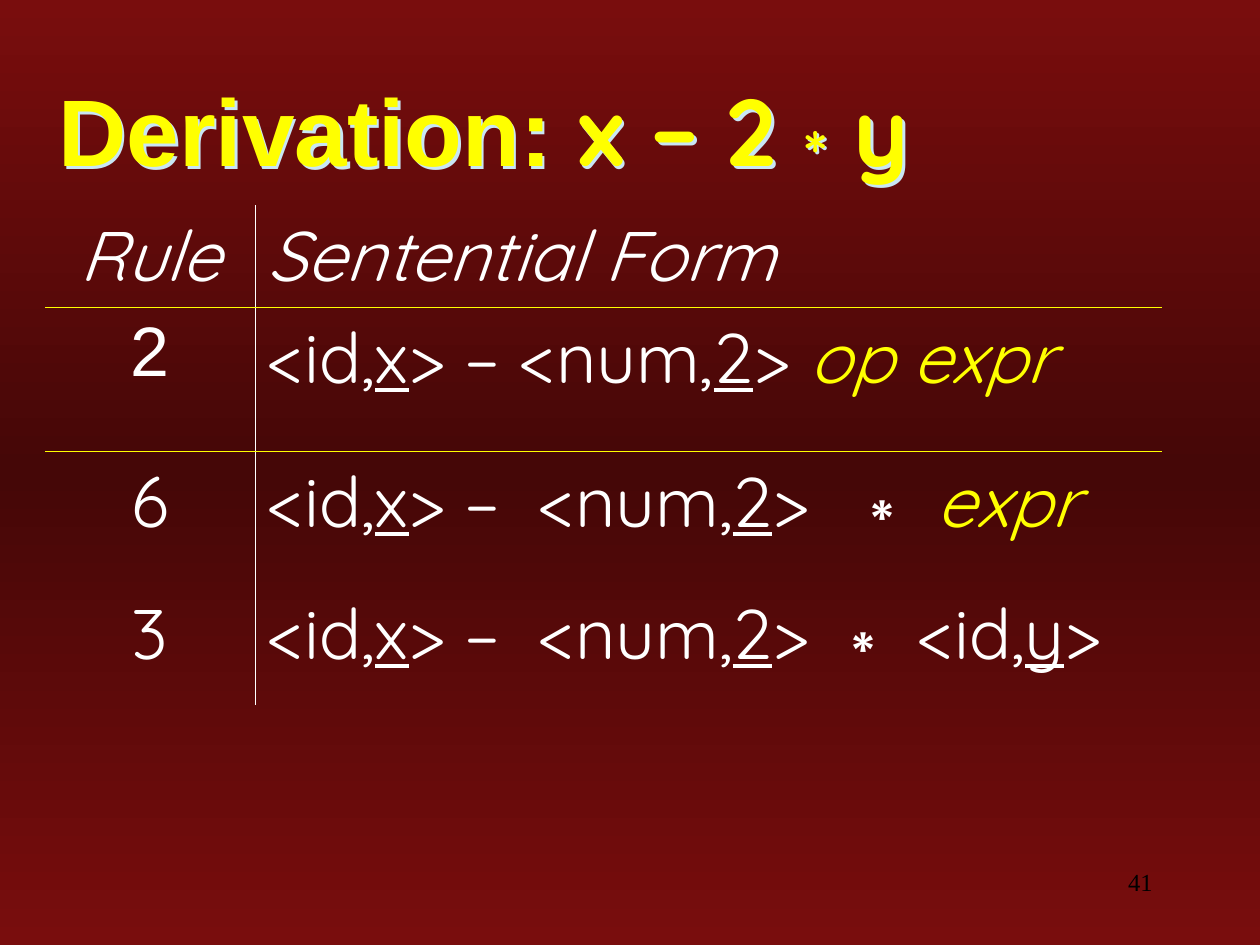
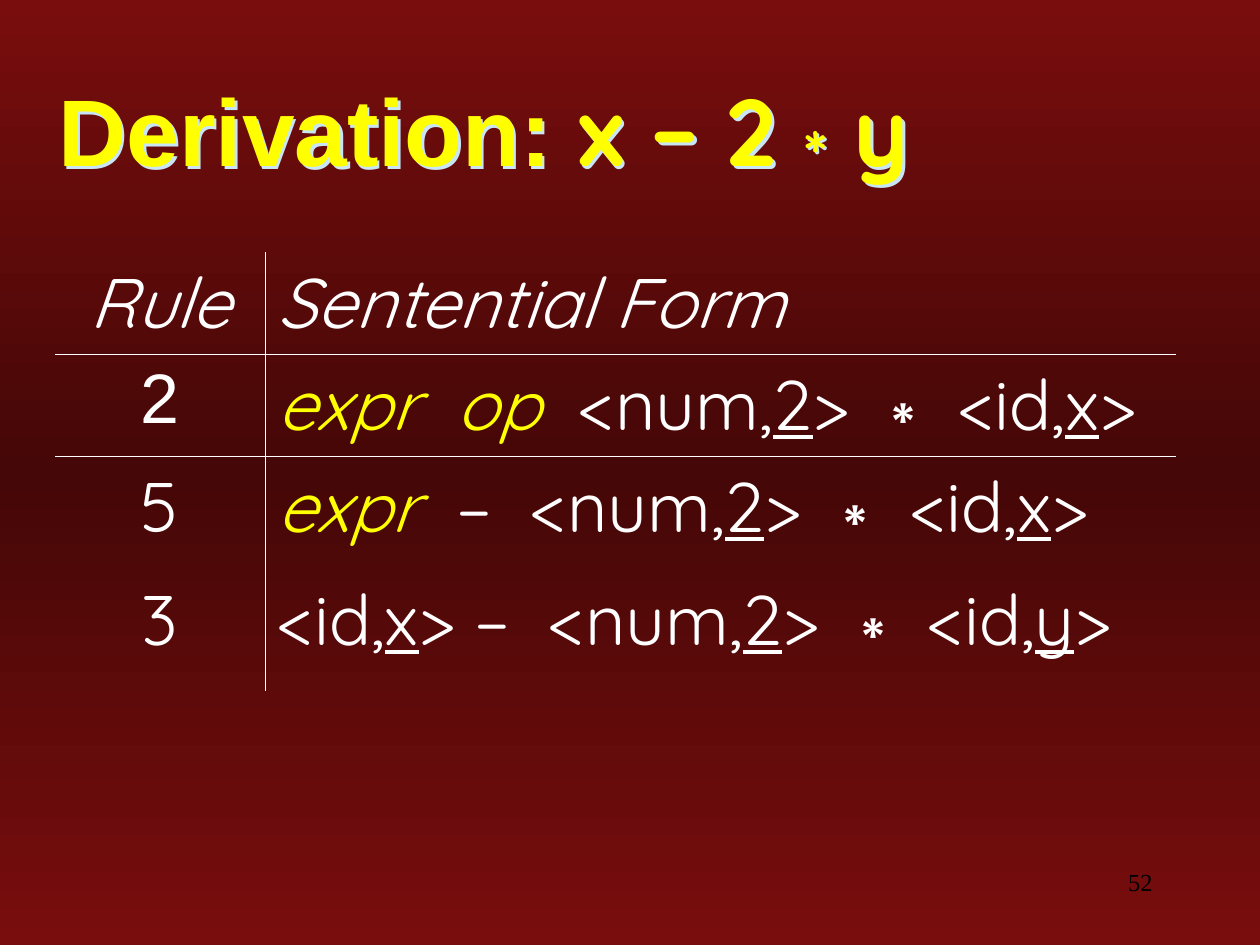
from copy import deepcopy

from lxml.etree import SubElement
from pptx import Presentation
from pptx.dml.color import RGBColor
from pptx.enum.text import MSO_ANCHOR, PP_ALIGN
from pptx.oxml.ns import qn
from pptx.util import Emu, Pt

SCALE = 914400 / 126  # EMU in one px
WHITE, YELLOW, BLACK = "FFFFFF", "FFFF00", "000000"
EDGE, MID, GLOW = "790D0D", "450707", "C8E6F5"
BODY, SANS, SERIF = "Quicksand", "Arial", "Times New Roman"
NO_STYLE = "{2D5ABB26-0587-4C30-8999-92F81FD0307C}"


def px(size):
    return Emu(round(size * SCALE))


def color(code):
    return RGBColor.from_string(code)


def token(kind, name):
    """A pair such as <id,x> with its lexeme underlined."""
    return [(f"<{kind},", ""), (name, "u"), (">", "")]


def plain(text):
    return [(text, "")]


def term(text):
    return [(text, "t")]


def sans(text):
    return [(text, "s")]


class Deck:
    def __init__(self):
        self.prs = Presentation()
        self.prs.slide_width, self.prs.slide_height = px(1260), px(945)
        self.slide = None

    def start(self):
        """New slide with a dark band across the middle."""
        self.slide = self.prs.slides.add_slide(self.prs.slide_layouts[6])
        fill = self.slide.background.fill
        fill.gradient()
        fill.gradient_angle = 90
        for stop in fill.gradient_stops:
            stop.color.rgb = color(EDGE)
        stops = self.slide.element.find(".//" + qn("a:gsLst"))
        mid = deepcopy(stops[0])
        mid.set("pos", "50000")
        mid.find(qn("a:srgbClr")).set("val", MID)
        stops.insert(1, mid)

    def font(self, para, size, face, code, **flags):
        para.font.size, para.font.name = Pt(size), face
        para.font.color.rgb = color(code)
        for flag, value in flags.items():
            setattr(para.font, flag, value)

    def box(self, left, top, width, height):
        shape = self.slide.shapes.add_textbox(
            px(left), px(top), px(width), px(height))
        shape.text_frame.word_wrap = True
        return shape, shape.text_frame.paragraphs[0]

    def title(self):
        shape, para = self.box(46, 45, 1214, 105)
        shape.text_frame.vertical_anchor = MSO_ANCHOR.TOP
        self.font(para, 54, BODY, YELLOW, bold=True)
        for text in ("Derivation: ", "x – 2 ", "*", " y"):
            run = para.add_run()
            run.text = text
            if text == "*":
                run.font.size = Pt(66)
                run.font._element.set("baseline", "-10000")
            elif text.startswith("D"):
                run.font.name = SANS
        # Light shadow down and to the right
        props = shape.element.find(qn("p:spPr"))
        shade = SubElement(SubElement(props, qn("a:effectLst")),
                           qn("a:outerShdw"), dist="25400", dir="2700000")
        SubElement(shade, qn("a:srgbClr"), val=GLOW)

    def number(self, value):
        _, para = self.box(903, 861, 262, 63)
        para.alignment = PP_ALIGN.RIGHT
        self.font(para, 14, SERIF, BLACK)
        para.add_run().text = str(value)

    def line(self, cell, side, code):
        edge = SubElement(cell._tc.get_or_add_tcPr(),
                          qn("a:ln" + side), w="5715")
        SubElement(SubElement(edge, qn("a:solidFill")),
                   qn("a:srgbClr"), val=code)

    def label(self, cell, parts, head, center):
        para = cell.text_frame.paragraphs[0]
        para.alignment = PP_ALIGN.CENTER if center else PP_ALIGN.LEFT
        self.font(para, 40, BODY, WHITE, italic=head)
        for text, style in parts:
            run = para.add_run()
            run.text = text
            if style == "u":
                run.font.underline = True
            elif style == "s":
                run.font.name = SANS
            elif style == "t":
                run.font.italic = True
                run.font.color.rgb = color(YELLOW)

    def table(self, left, top, wides, highs, rows, rule):
        frame = self.slide.shapes.add_table(
            len(highs), len(wides), px(left), px(top),
            px(sum(wides)), px(sum(highs)))
        grid = frame.table
        grid.first_row = grid.horz_banding = False
        frame._element.find(".//" + qn("a:tableStyleId")).text = NO_STYLE
        for col, wide in zip(grid.columns, wides):
            col.width = px(wide)
        for row, high in zip(grid.rows, highs):
            row.height = px(high)
        rows = [(plain("Rule"), plain("Sentential Form"))] + rows
        for r, row in enumerate(rows):
            for c, parts in enumerate(row):
                cell = grid.cell(r, c)
                self.label(cell, parts, r == 0, c == 0)
                self.line(cell, "L" if c else "R", WHITE)
                if r < 2:
                    self.line(cell, "T" if r else "B", rule)
                cell.fill.background()


def main():
    deck = Deck()
    idx, idy, num = token("id", "x"), token("id", "y"), token("num", "2")
    minus = plain(" –  ")
    final = (plain("3"), idx + minus + num + plain(" ") + sans("∗")
             + plain(" ") + idy)
    times = num + plain(" ") + sans("∗ ") + idx

    # Leftmost derivation, last steps
    deck.start()
    deck.number(41)
    deck.title()
    deck.table(45, 205, (210, 907), (102, 144, 132, 122), [
        (sans("2"), idx + plain(" – ") + num + term(" op expr")),
        (plain("6"), idx + minus + num + plain("  ") + sans("∗ ")
         + term("expr")),
        final,
    ], YELLOW)

    # Rightmost derivation, last steps
    deck.start()
    deck.number(52)
    deck.title()
    deck.table(55, 252, (210, 911), (102, 102, 113, 122), [
        (sans("2"), term("expr  op  ") + times),
        (plain("5"), term("expr  ") + plain("–  ") + times),
        final,
    ], WHITE)

    deck.prs.save("out.pptx")


if __name__ == "__main__":
    main()
